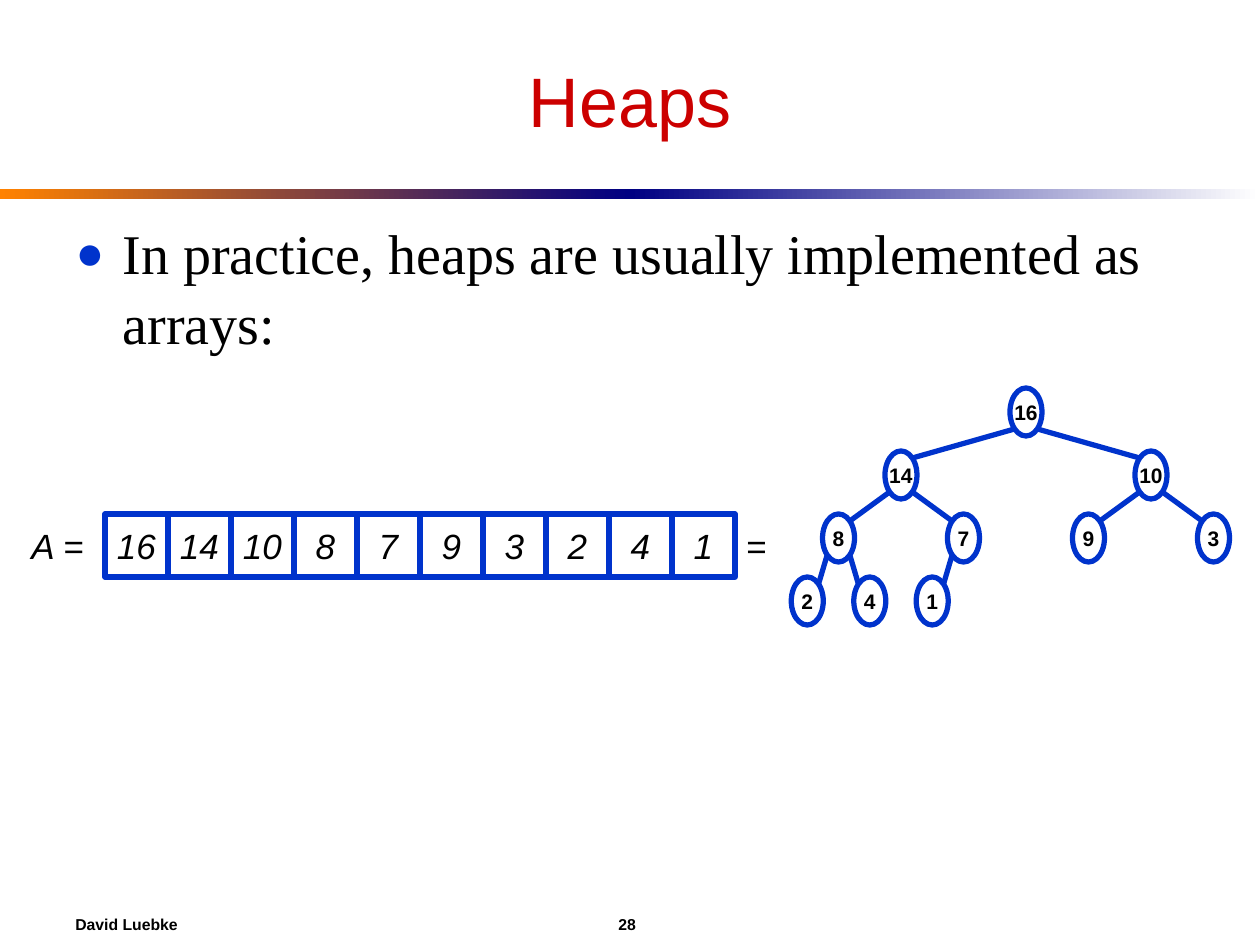
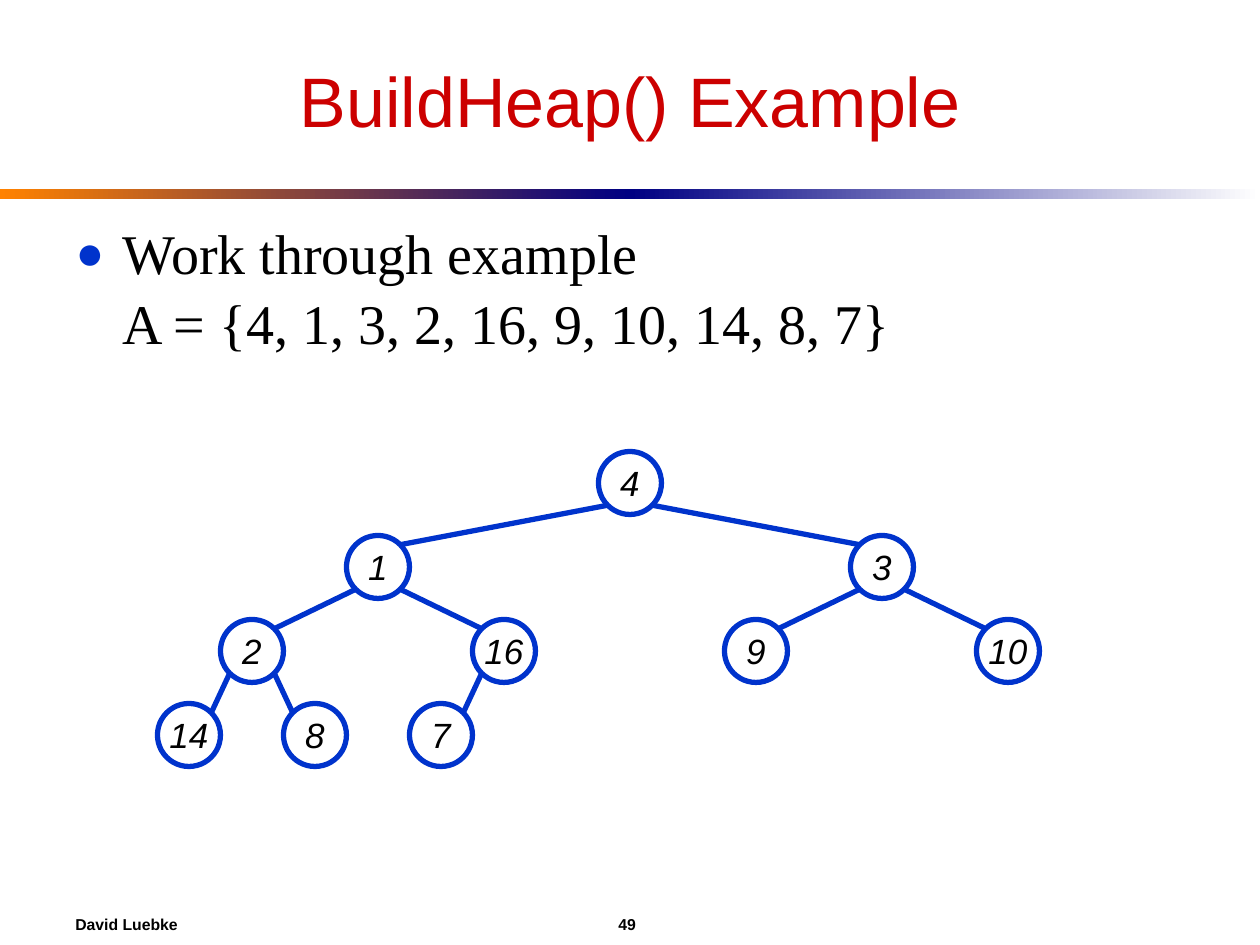
"""Builds two lecture slides on heaps: array form and the BuildHeap() example."""
from math import sqrt

from lxml import etree
from pptx import Presentation
from pptx.dml.color import RGBColor
from pptx.enum.shapes import MSO_CONNECTOR, MSO_SHAPE
from pptx.enum.text import MSO_ANCHOR, MSO_AUTO_SIZE, PP_ALIGN
from pptx.oxml.ns import qn
from pptx.util import Pt

RECT, OVAL = MSO_SHAPE.RECTANGLE, MSO_SHAPE.OVAL
STRAIGHT = MSO_CONNECTOR.STRAIGHT
TOP, MIDDLE = MSO_ANCHOR.TOP, MSO_ANCHOR.MIDDLE
LEFT, CENTER = PP_ALIGN.LEFT, PP_ALIGN.CENTER
NO_AUTOFIT = MSO_AUTO_SIZE.NONE

BLACK = RGBColor(0x00, 0x00, 0x00)
WHITE = RGBColor(0xFF, 0xFF, 0xFF)
RED = RGBColor(0xCC, 0x00, 0x00)
BLUE = RGBColor(0x00, 0x33, 0xCC)
ORANGE = RGBColor(0xFF, 0x82, 0x00)
NAVY = RGBColor(0x00, 0x00, 0x82)

SANS, SERIF = "Arial", "Times New Roman"
WIDTH, HEIGHT = 1260, 945
LINE_WIDTH = Pt(3)
CELL = 63
ARRAY_LEFT, ARRAY_TOP = 105, 514


def px(n):
    """Turn pixels (126 to the inch) into EMU."""
    return round(n * 914400 / 126)


def place(sp, left, top, width, height):
    """Move and size a shape."""
    sp.left, sp.top, sp.width, sp.height = map(px, (left, top, width, height))


def add_xml(parent, tag, **attrs):
    """Append a DrawingML child element with its attributes."""
    return etree.SubElement(parent, qn(tag), attrs)


def set_text(sp, text, size, font=SANS, color=BLACK, bold=False, italic=False,
             align=CENTER, anchor=MIDDLE, wrap=False):
    """Write one formatted paragraph into a shape and return it."""
    tf = sp.text_frame
    tf.auto_size = NO_AUTOFIT
    tf.word_wrap = wrap
    tf.vertical_anchor = anchor
    p = tf.paragraphs[0]
    p.text = text
    p.alignment = align
    p.font.name, p.font.size = font, Pt(size)
    p.font.bold, p.font.italic = bold, italic
    p.font.color.rgb = color
    return p


def add_label(shapes, text, left, top, width, height, size, **style):
    """Add a text box and return its paragraph."""
    sp = shapes.add_textbox(*map(px, (left, top, width, height)))
    return set_text(sp, text, size, **style)


def add_box(shapes, kind, text, left, top, width, height, size, **style):
    """Add a white, blue-outlined shape holding one value."""
    sp = shapes.add_shape(kind, *map(px, (left, top, width, height)))
    sp.shadow.inherit = False
    sp.fill.solid()
    sp.fill.fore_color.rgb = WHITE
    sp.line.color.rgb = BLUE
    sp.line.width = LINE_WIDTH
    set_text(sp, text, size, **style)


def add_edge(shapes, x1, y1, x2, y2):
    """Add a blue line between two points."""
    line = shapes.add_connector(STRAIGHT, *map(px, (x1, y1, x2, y2)))
    line.line.color.rgb = BLUE
    line.line.width = LINE_WIDTH
    add_xml(line.element.spPr, "a:effectLst")


def add_tree(shapes, values, root, spread, drop, node, size, **style):
    """Draw a binary heap; the sideways step halves at each level."""
    width, height = node
    centers = [root]
    for i in range(1, len(values)):
        x, y = centers[(i - 1) // 2]
        level = (i + 1).bit_length() - 1
        side = -1 if i % 2 else 1
        centers.append((x + side * spread / 2 ** (level - 1), y + drop))
    for value, (x, y) in zip(values, centers):
        add_box(shapes, OVAL, str(value), x - width / 2, y - height / 2,
                width, height, size, **style)
    dx, dy = width / sqrt(8), height / sqrt(8)
    for i, (x, y) in enumerate(centers[1:], 1):
        parent_x, parent_y = centers[(i - 1) // 2]
        side = -1 if i % 2 else 1
        add_edge(shapes, parent_x + side * dx, parent_y + dy,
                 x - side * dx, y - dy)


def add_array(shapes, values):
    """Draw the array as a row of square cells between its labels."""
    add_label(shapes, "A =", 10, ARRAY_TOP, 95, CELL, 20, italic=True)
    for i, value in enumerate(values):
        add_box(shapes, RECT, str(value), ARRAY_LEFT + i * CELL, ARRAY_TOP,
                CELL, CELL, 20, italic=True)
    add_label(shapes, "=", ARRAY_LEFT + len(values) * CELL, ARRAY_TOP,
              42, CELL, 20, italic=True)


def add_master_bands(prs, slide):
    """Put the two gradient bands under the title on the slide master."""
    half = WIDTH // 2
    for left, start, end in ((0, ORANGE, NAVY), (half, NAVY, WHITE)):
        sp = slide.shapes.add_shape(RECT, *map(px, (left, 189, half, 10)))
        sp.shadow.inherit = False
        sp.line.fill.background()
        sp.fill.gradient()
        sp.fill.gradient_angle = 0
        for stop, color in zip(sp.fill.gradient_stops, (start, end)):
            stop.color.rgb = color
        prs.slide_master.shapes.element.append(sp.element)


def add_footer(shapes, number):
    """Add the author and, at a tab stop, the slide number."""
    p = add_label(shapes, f"David Luebke\t{number}", 63, 903, 1134, 42, 9,
                  bold=True, align=LEFT, wrap=True)
    pPr = p._p.get_or_add_pPr()
    tabs = etree.Element(qn("a:tabLst"))
    add_xml(tabs, "a:tab", pos=str(px(543)), algn="l")
    pPr.insert(0, tabs)


def add_bullet(p):
    """Give a paragraph the round blue bullet and hanging indent."""
    pPr = p._p.get_or_add_pPr()
    pPr.set("marL", str(px(47)))
    pPr.set("indent", str(px(-47)))
    color = add_xml(pPr, "a:buClr")
    add_xml(color, "a:srgbClr", val=str(BLUE))
    add_xml(pPr, "a:buSzPct", val="85000")
    add_xml(pPr, "a:buChar", char="●")
    p.space_before = Pt(8)
    p.line_spacing = 1.04


def add_slide(prs, title, body, number):
    """Add a slide with title, one bullet and footer."""
    slide = prs.slides.add_slide(prs.slide_layouts[1])
    add_footer(slide.shapes, number)
    heading, content = slide.placeholders
    place(heading, 63, 32, 1134, 136)
    set_text(heading, title, 40, color=RED, wrap=True)
    place(content, 63, 210, 1134, 599)
    add_bullet(content.text_frame.paragraphs[0])
    set_text(content, body, 32, font=SERIF, align=LEFT, anchor=TOP, wrap=True)
    return slide


def main():
    """Build and save the presentation."""
    prs = Presentation()
    prs.slide_width, prs.slide_height = px(WIDTH), px(HEIGHT)

    heap = [16, 14, 10, 8, 7, 9, 3, 2, 4, 1]
    slide = add_slide(
        prs, "Heaps", "In practice, heaps are usually implemented as arrays:", 28)
    add_master_bands(prs, slide)
    group = slide.shapes.add_group_shape()
    add_tree(group.shapes, heap, (1026, 412), 125, 63, (32, 48), 12, bold=True)
    add_array(slide.shapes, heap)

    unsorted = [4, 1, 3, 2, 16, 9, 10, 14, 8, 7]
    listing = ", ".join(map(str, unsorted))
    slide = add_slide(prs, "BuildHeap() Example",
                      f"Work through example\nA = {{{listing}}}", 49)
    add_tree(slide.shapes, unsorted, (630, 483), 252, 84, (63, 63), 20,
             italic=True)

    prs.save("out.pptx")


if __name__ == "__main__":
    main()
